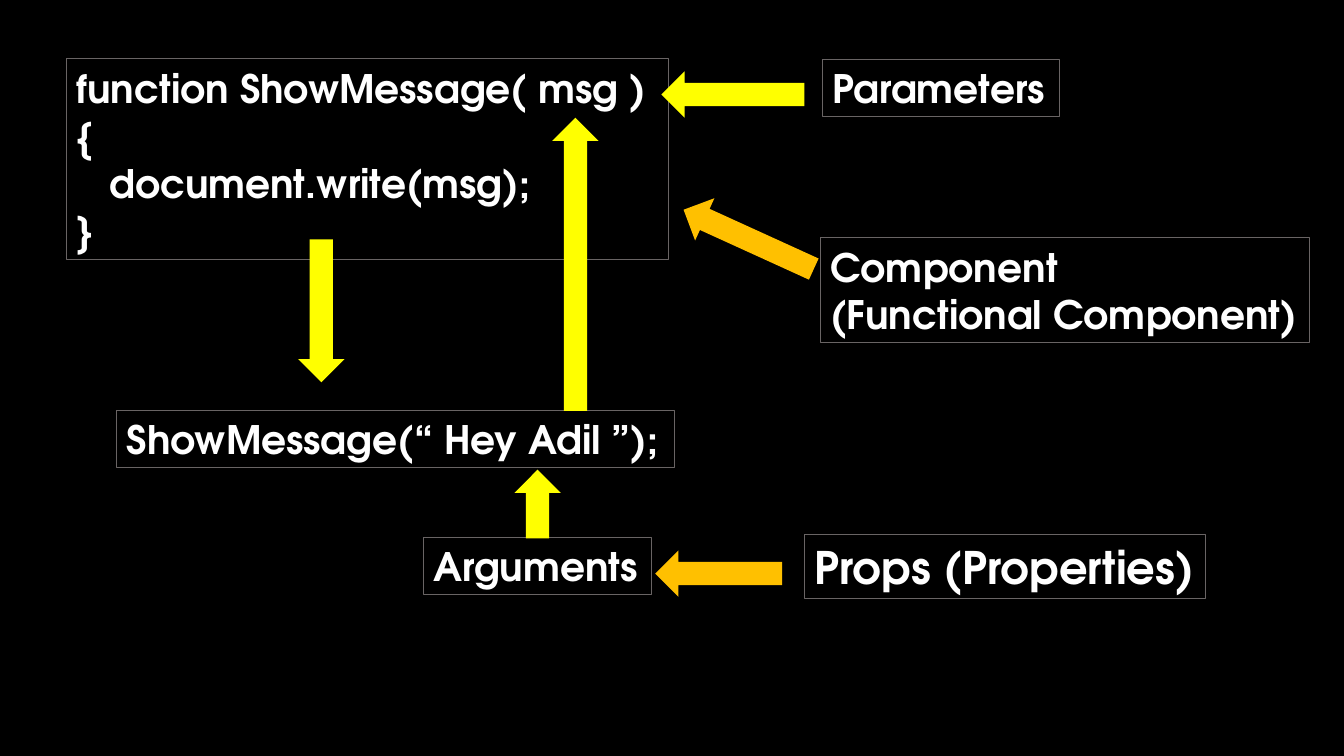
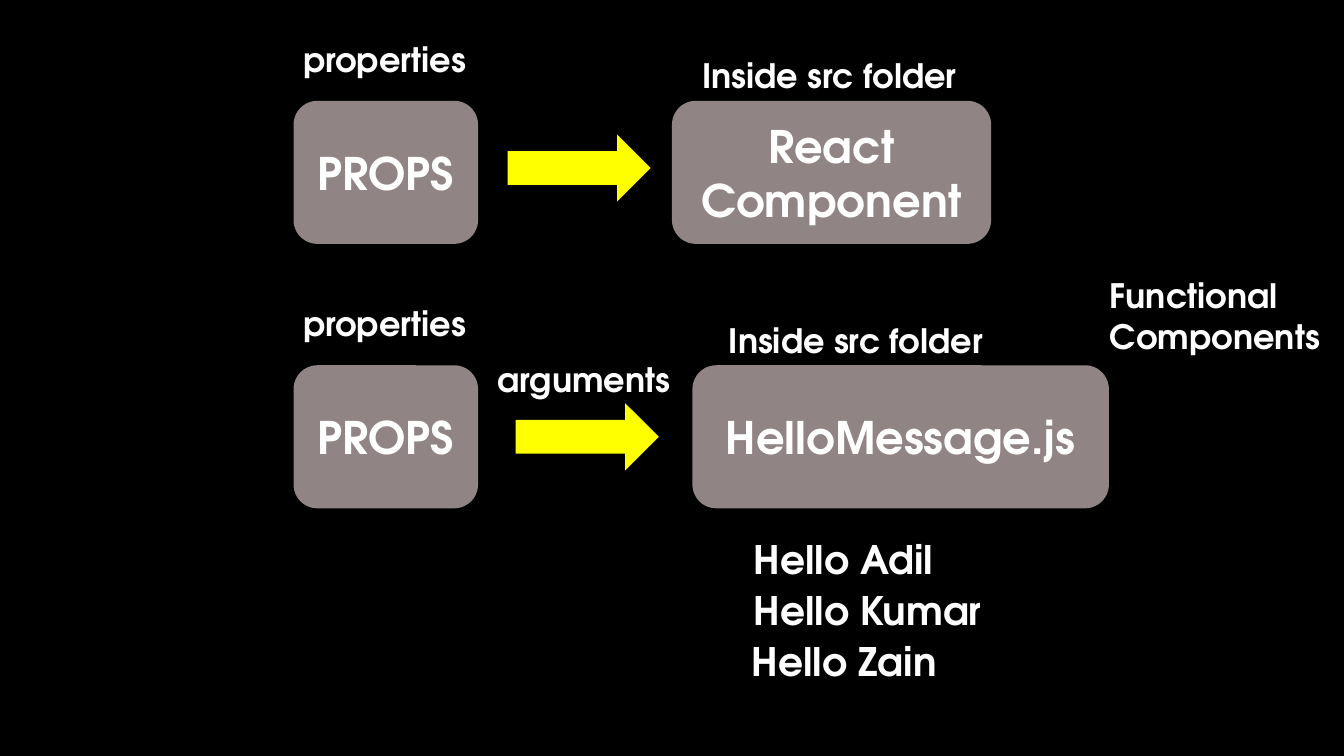
from dataclasses import dataclass
from typing import Any

from pptx import Presentation
from pptx.dml.color import RGBColor
from pptx.enum.shapes import MSO_SHAPE
from pptx.enum.text import MSO_ANCHOR, MSO_AUTO_SIZE, PP_ALIGN
from pptx.util import Pt

BLACK, WHITE, GREY, TAUPE = "000000", "FFFFFF", "696464", "918485"
YELLOW, ORANGE = "FFFF00", "FFC000"
FONT_FORMAT = {"name": "TeX Gyre Adventor", "bold": True}
LABEL_FORMAT = {
    "word_wrap": False,
    "vertical_anchor": MSO_ANCHOR.MIDDLE,
    "auto_size": MSO_AUTO_SIZE.SHAPE_TO_FIT_TEXT,
}
CARD_FORMAT = {"word_wrap": True, "vertical_anchor": MSO_ANCHOR.MIDDLE}
CARD_HEIGHT = 102.2


@dataclass
class Label:
    """Text that may carry a thin frame."""
    text: str
    left: float
    top: float
    width: float
    height: float
    size: int = 28
    framed: bool = False


@dataclass
class Card:
    """Filled rounded box with a centred caption."""
    text: str
    left: float
    top: float
    width: float


@dataclass
class Arrow:
    """Block arrow placed by its centre and turned clockwise from pointing right."""
    center_x: float
    center_y: float
    length: float = 102.2
    thickness: float = 33.2
    rotation: float = 0
    color: str = YELLOW


@dataclass
class Flow:
    """Row that leads from the props card to a target card."""
    top: float
    target: str
    target_left: float
    target_width: float
    folder_left: float
    arrow_x: float
    arrow_y: float


CODE = "function ShowMessage( msg )\n{\n   document.write(msg);\n}"
CODE_LABELS = [
    Label(CODE, 47.5, 41.8, 429.8, 143.3, framed=True),
    Label("ShowMessage(“ Hey Adil ”);", 83.5, 293, 398.2, 41.2, framed=True),
    Label("Parameters", 587.5, 42.3, 169.2, 41.2, framed=True),
    Label("Arguments", 302.4, 383.8, 162.7, 41.2, framed=True),
    Label("Component\n(Functional Component)", 586, 169.7, 349.2, 75.1, framed=True),
    Label("Props (Properties)", 574.5, 381.6, 286.6, 46, 32, True),
]
CODE_ARROWS = [
    Arrow(229.5, 222, rotation=90),
    Arrow(411, 188.8, length=209.5, rotation=270),
    Arrow(523.5, 67.5, rotation=180),
    Arrow(384, 360, length=49, rotation=270),
    Arrow(534.8, 171, rotation=204.5, color=ORANGE),
    Arrow(513.4, 409.7, length=90.7, rotation=180, color=ORANGE),
]
FLOWS = [
    Flow(72, "React Component", 480, 228, 494.6, 413.7, 120),
    Flow(260.9, "HelloMessage.js", 494.6, 297.5, 513.4, 419.5, 312),
]
GREETINGS = [("Hello Adil", 531.4, 144.7), ("Hello Kumar", 531.4, 180), ("Hello Zain", 530, 147.6)]


def rgb(color: str) -> RGBColor:
    """Turn a hex string into a colour."""
    return RGBColor.from_string(color)


def apply_format(target: Any, values: dict) -> None:
    """Set every attribute named in the format values."""
    for name, value in values.items():
        setattr(target, name, value)


def write_text(shape: Any, text: str, size: int, frame_format: dict, alignment: PP_ALIGN) -> None:
    """Write one paragraph per line in the shared font."""
    text_frame = shape.text_frame
    text_frame.text = text
    apply_format(text_frame, frame_format)
    for paragraph in text_frame.paragraphs:
        paragraph.alignment = alignment
        apply_format(paragraph.font, {**FONT_FORMAT, "size": Pt(size)})
        paragraph.font.color.rgb = rgb(WHITE)


def add_block(slide: Any, kind: MSO_SHAPE, bounds: tuple, color: str) -> Any:
    """Add a flat filled shape without an outline."""
    shape = slide.shapes.add_shape(kind, *map(Pt, bounds))
    shape.shadow.inherit = False
    shape.fill.solid()
    shape.fill.fore_color.rgb = rgb(color)
    shape.line.fill.background()
    return shape


def add_label(slide: Any, label: Label) -> None:
    """Draw a label as a framed rectangle or a plain text box."""
    bounds = [Pt(value) for value in (label.left, label.top, label.width, label.height)]
    if label.framed:
        shape = slide.shapes.add_shape(MSO_SHAPE.RECTANGLE, *bounds)
        shape.shadow.inherit = False
        shape.fill.background()
        shape.line.color.rgb = rgb(GREY)
        shape.line.width = Pt(0.75)
    else:
        shape = slide.shapes.add_textbox(*bounds)
    write_text(shape, label.text, label.size, LABEL_FORMAT, PP_ALIGN.LEFT)


def add_card(slide: Any, card: Card) -> None:
    """Draw a rounded card."""
    bounds = (card.left, card.top, card.width, CARD_HEIGHT)
    shape = add_block(slide, MSO_SHAPE.ROUNDED_RECTANGLE, bounds, TAUPE)
    write_text(shape, card.text, 32, CARD_FORMAT, PP_ALIGN.CENTER)


def add_arrow(slide: Any, arrow: Arrow) -> None:
    """Draw a block arrow around its centre."""
    left = arrow.center_x - arrow.length / 2
    top = arrow.center_y - arrow.thickness / 2
    bounds = (left, top, arrow.length, arrow.thickness)
    shape = add_block(slide, MSO_SHAPE.RIGHT_ARROW, bounds, arrow.color)
    shape.rotation = arrow.rotation


def add_flow(slide: Any, flow: Flow) -> None:
    """Draw a props card, its arrow, its target card and their captions."""
    add_card(slide, Card("PROPS", 209.7, flow.top, 131.8))
    add_label(slide, Label("properties", 209.5, flow.top - 48, 132.5, 36.3, 24))
    add_card(slide, Card(flow.target, flow.target_left, flow.top, flow.target_width))
    add_label(slide, Label("Inside src folder", flow.folder_left, flow.top - 36.3, 198.7, 36.3, 24))
    add_arrow(slide, Arrow(flow.arrow_x, flow.arrow_y, thickness=48))


def build_code_slide(slide: Any) -> None:
    """Show the function and the names of its parts."""
    for label in CODE_LABELS:
        add_label(slide, label)
    for arrow in CODE_ARROWS:
        add_arrow(slide, arrow)


def build_flow_slide(slide: Any) -> None:
    """Show props passed on to components."""
    for flow in FLOWS:
        add_flow(slide, flow)
    add_label(slide, Label("arguments", 348.3, 252.3, 139.7, 36.3, 24))
    add_label(slide, Label("Functional\nComponents", 785.8, 192.6, 165.6, 65.4, 24))
    for index, (text, left, width) in enumerate(GREETINGS):
        add_label(slide, Label(text, left, 378.7 + index * 36.4, width, 41.2))


def main() -> None:
    """Build and save the presentation."""
    presentation = Presentation()
    apply_format(presentation, {"slide_width": Pt(960), "slide_height": Pt(540)})
    background = presentation.slide_master.background.fill
    background.solid()
    background.fore_color.rgb = rgb(BLACK)
    blank_layout = presentation.slide_layouts[6]
    for build in (build_code_slide, build_flow_slide):
        build(presentation.slides.add_slide(blank_layout))
    presentation.save("out.pptx")


if __name__ == "__main__":
    main()
